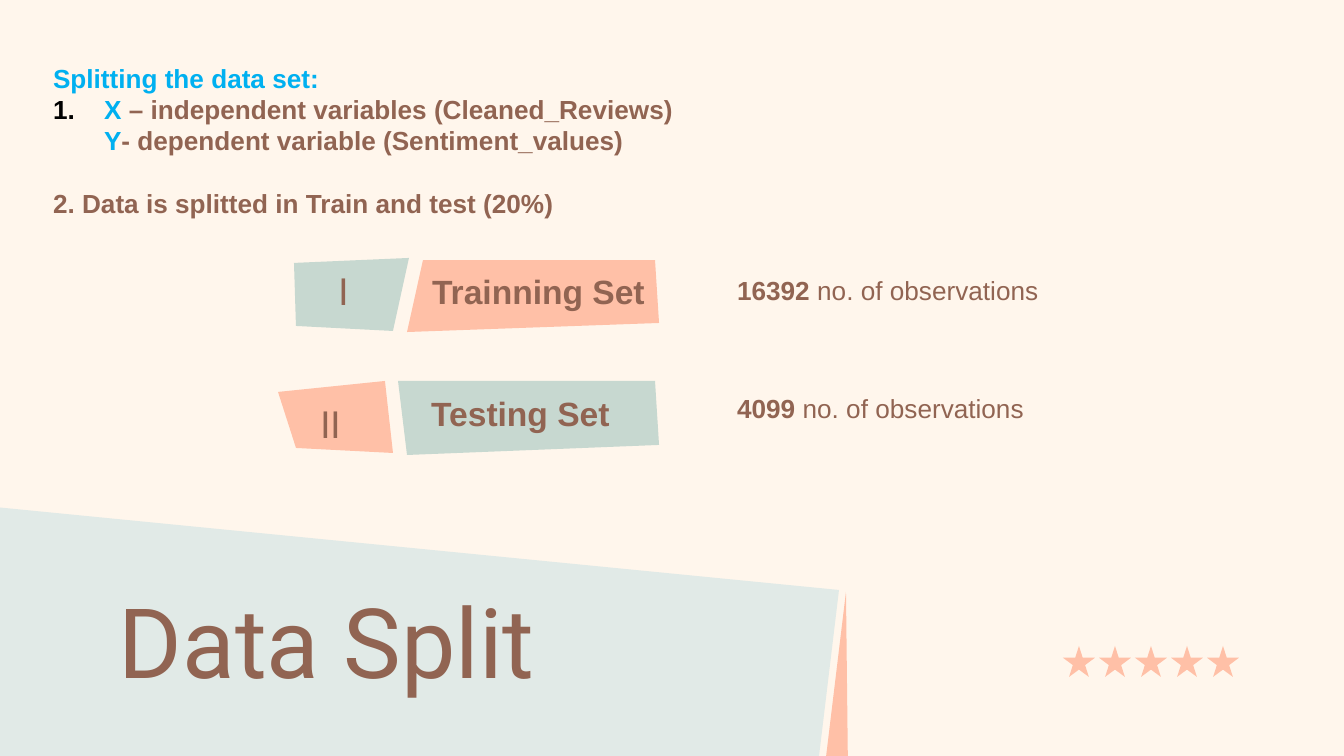
from lxml.etree import SubElement
from pptx import Presentation
from pptx.dml.color import RGBColor
from pptx.enum.shapes import MSO_SHAPE
from pptx.enum.text import MSO_ANCHOR, PP_ALIGN
from pptx.oxml.ns import qn
from pptx.util import Emu, Pt

WIDTH, HEIGHT = 1344, 756
SCALE = 9144000 / WIDTH
COLORS = {
    "background": "FFF6EC",
    "brown": "916452",
    "blue": "00B0F0",
    "black": "000000",
    "peach": "FFC0A7",
    "sage": "C7D8D0",
    "mist": "E1EAE7",
}
HEADING = {"name": "Roboto", "size": Pt(52), "bold": False}
NUMERAL = {"name": "Roboto", "size": Pt(20), "bold": False}
LABEL = {"name": "Arial", "size": Pt(18), "bold": True}
BODY = {"name": "Arial", "size": Pt(14), "bold": False}
STRONG = {**BODY, "bold": True}


def px(length):
    return Emu(round(length * SCALE))


def color(name):
    return RGBColor.from_string(COLORS[name])


class SlideBuilder:
    def __init__(self, slide):
        self.slide = slide
        slide.background.fill.solid()
        slide.background.fill.fore_color.rgb = color("background")

    def paint(self, shape, fill):
        shape.shadow.inherit = False
        shape.fill.solid()
        shape.fill.fore_color.rgb = color(fill)
        shape.line.fill.background()

    def polygon(self, points, fill):
        builder = self.slide.shapes.build_freeform(*points[0], scale=SCALE)
        builder.add_line_segments(points[1:], close=True)
        self.paint(builder.convert_to_shape(), fill)

    def star(self, left, top, width, height):
        box = map(px, (left, top, width, height))
        self.paint(self.slide.shapes.add_shape(MSO_SHAPE.STAR_5_POINT, *box), "peach")

    def text_box(self, box, margin=13, anchor=MSO_ANCHOR.MIDDLE):
        frame = self.slide.shapes.add_textbox(*map(px, box)).text_frame
        settings = {
            "word_wrap": True,
            "vertical_anchor": anchor,
            "margin_left": px(13),
            "margin_right": px(13),
            "margin_top": px(margin),
            "margin_bottom": px(margin),
        }
        for name, value in settings.items():
            setattr(frame, name, value)
        return frame

    def add_runs(self, paragraph, runs, align=PP_ALIGN.LEFT):
        """Add runs given as (text, font format, colour name)."""
        paragraph.alignment = align
        for text, style, tint in runs:
            run = paragraph.add_run()
            run.text = text
            for name, value in style.items():
                setattr(run.font, name, value)
            run.font.color.rgb = color(tint)

    def text(self, box, runs, align=PP_ALIGN.LEFT, anchor=MSO_ANCHOR.MIDDLE):
        frame = self.text_box(box, anchor=anchor)
        self.add_runs(frame.paragraphs[0], runs, align)

    def indent(self, paragraph, left, numbered=False):
        """Indent a paragraph, with a hanging black number if asked."""
        properties = paragraph._p.get_or_add_pPr()
        properties.set("marL", str(px(left)))
        properties.set("indent", str(px(-left if numbered else 0)))
        if numbered:
            bullet_color = SubElement(properties, qn("a:buClr"))
            SubElement(bullet_color, qn("a:srgbClr"), val=COLORS["black"])
            SubElement(properties, qn("a:buAutoNum"), type="arabicPeriod")

    def steps(self, box):
        frame = self.text_box(box, margin=7, anchor=MSO_ANCHOR.TOP)
        heading = frame.paragraphs[0]
        independent, dependent, split = (frame.add_paragraph() for _ in range(3))
        self.indent(independent, 51, numbered=True)
        self.indent(dependent, 51)
        split.space_before = Pt(17)
        self.add_runs(heading, [("Splitting the data set:", STRONG, "blue")])
        self.add_runs(independent, [
            ("X ", STRONG, "blue"),
            ("– independent variables (Cleaned_Reviews)", STRONG, "brown"),
        ])
        self.add_runs(dependent, [
            ("Y", STRONG, "blue"),
            ("- dependent variable (Sentiment_values)", STRONG, "brown"),
        ])
        self.add_runs(split, [
            ("2. Data is splitted in Train and test (20%)", STRONG, "brown"),
        ])


def main():
    presentation = Presentation()
    presentation.slide_width, presentation.slide_height = px(WIDTH), px(HEIGHT)
    builder = SlideBuilder(presentation.slides.add_slide(presentation.slide_layouts[6]))

    builder.polygon([(817, 773), (-40, 770), (-46, 503), (839, 590)], "mist")
    builder.polygon([(846, 592), (848, 772), (824, 774)], "peach")
    for index in range(5):
        builder.star(1063 + 36 * index, 646, 32, 31)
    builder.text((106, 568, 1133, 151), [("Data Split", HEADING, "brown")],
                 anchor=MSO_ANCHOR.TOP)

    sets = [
        {
            "tab": ([(393, 331), (409, 258), (294, 263), (296, 326)], "sage"),
            "banner": ([(423, 260), (407, 332), (659, 323), (655, 260)], "peach"),
            "numeral": ("I", (285, 270, 117, 42)),
            "label": ("Trainning Set", (411, 253, 255, 77)),
            "count": ("16392", (724, 252, 433, 77)),
        },
        {
            "tab": ([(393, 453), (385, 381), (278, 392), (296, 448)], "peach"),
            "banner": ([(398, 381), (407, 455), (659, 445), (655, 381)], "sage"),
            "numeral": ("II", (272, 403, 117, 42)),
            "label": ("Testing Set", (393, 375, 255, 77)),
            "count": ("4099", (724, 370, 433, 77)),
        },
    ]
    for data_set in sets:
        builder.polygon(*data_set["tab"])
        builder.polygon(*data_set["banner"])
        for part, style in (("numeral", NUMERAL), ("label", LABEL)):
            text, box = data_set[part]
            builder.text(box, [(text, style, "brown")], PP_ALIGN.CENTER)
        count, box = data_set["count"]
        builder.text(box, [(count, STRONG, "brown"),
                           (" no. of observations", BODY, "brown")])

    builder.steps((40, 55, 1267, 203))
    presentation.save("out.pptx")


if __name__ == "__main__":
    main()
